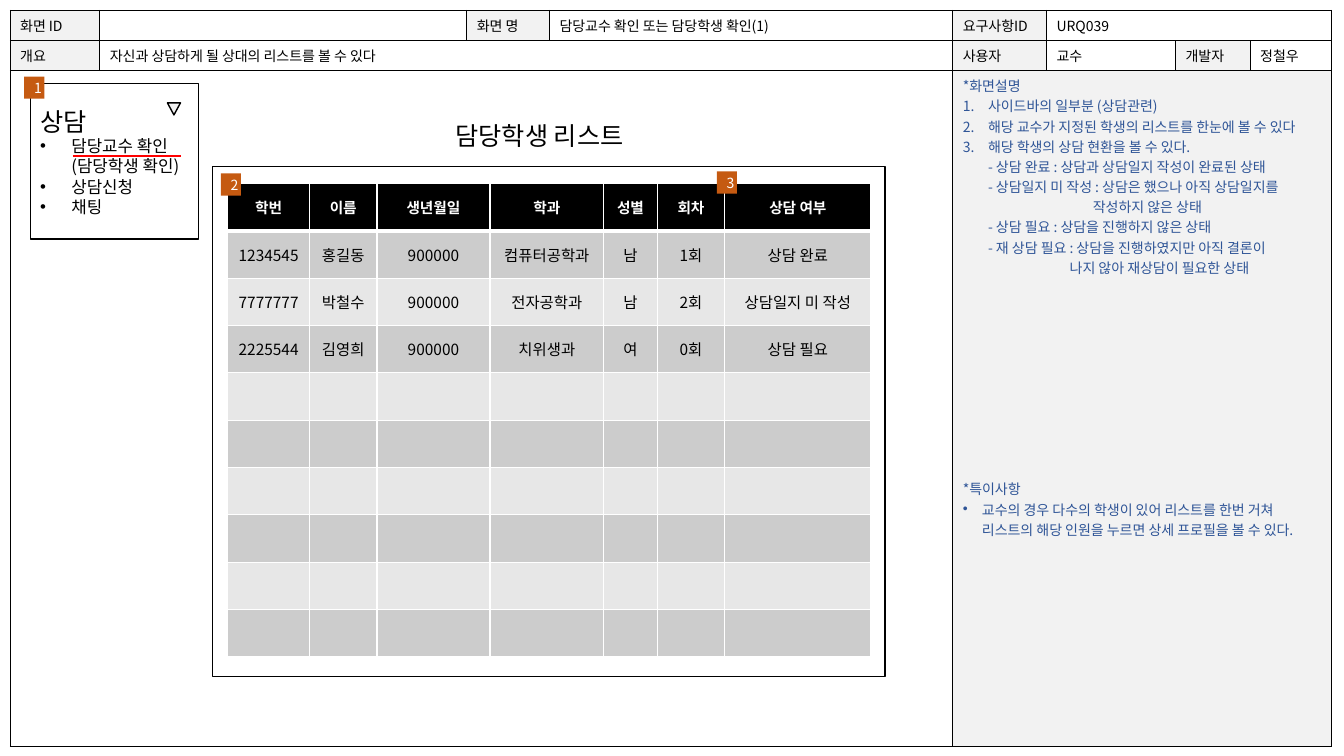
"""Build the screen specification slide for the advisor and student list."""
from lxml.etree import SubElement
from pptx import Presentation
from pptx.dml.color import RGBColor as Color
from pptx.enum.shapes import MSO_CONNECTOR as Connector, MSO_SHAPE as Preset
from pptx.enum.text import MSO_ANCHOR as Anchor, MSO_AUTO_SIZE as AutoSize, PP_ALIGN as Align
from pptx.oxml.ns import qn
from pptx.util import Emu, Inches, Pt

THEME = dict(
    font="Noto Sans CJK KR", black="000000", white="FFFFFF", label="F2F2F2",
    note="2F5597", badge="C55A11", accent="FF0000", bands=("E7E7E7", "CCCCCC"),
    small=10, header=10.5, body=11, menu=12, title=18)

FORM_AT = (0.1, 0.1)
FORM_COLUMNS = (0.89, 3.64, 0.82, 4, 0.93, 1.28, 0.74, 0.81)
FORM_ROWS = (0.28, 0.29, 6.7)
FORM_LABELS = {(0, 0): "화면 ID", (0, 2): "화면 명", (0, 4): "요구사항ID",
               (1, 0): "개요", (1, 4): "사용자", (1, 6): "개발자"}
FORM_VALUES = {(0, 3): "담당교수 확인 또는 담당학생 확인(1)", (0, 5): "URQ039",
               (1, 1): "자신과 상담하게 될 상대의 리스트를 볼 수 있다",
               (1, 5): "교수", (1, 7): "정철우"}
FORM_MERGES = ((0, 5, 7), (1, 1, 3), (2, 0, 3), (2, 4, 7))

NUMBERED = dict(left=0.25, hanging=0.25, bullet="number")
DASHED = dict(left=0.25)
NOTES = (
    ("*화면설명", {}),
    ("사이드바의 일부분 (상담관련)", NUMBERED),
    ("해당 교수가 지정된 학생의 리스트를 한눈에 볼 수 있다", NUMBERED),
    ("해당 학생의 상담 현환을 볼 수 있다.", NUMBERED),
    ("- 상담 완료 : 상담과 상담일지 작성이 완료된 상태", DASHED),
    ("- 상담일지 미 작성 : 상담은 했으나 아직 상담일지를", DASHED),
    ("작성하지 않은 상태", dict(left=1.29)),
    ("- 상담 필요 : 상담을 진행하지 않은 상태", DASHED),
    ("- 재 상담 필요 : 상담을 진행하였지만 아직 결론이", DASHED),
    ("나지 않아 재상담이 필요한 상태", dict(left=1.06)),
    ("*특이사항", dict(before=144)),
    ("교수의 경우 다수의 학생이 있어 리스트를 한번 거쳐 리스트의 해당 인원을 누르면 "
     "상세 프로필을 볼 수 있다.", dict(left=0.19, hanging=0.19, bullet="•")))

MENU_ITEM = dict(left=0.31, hanging=0.31, bullet="•", size=THEME["menu"])
MENU = (
    ("상담", dict(size=THEME["title"])),
    ("담당교수 확인", MENU_ITEM),
    ("(담당학생 확인)", dict(left=0.31, size=THEME["menu"])),
    ("상담신청", MENU_ITEM),
    ("채팅", MENU_ITEM))

LIST_TITLE = "담당학생 리스트"
LIST_AT = (2.26, 1.82)
LIST_COLUMNS = (0.81, 0.67, 1.12, 1.13, 0.53, 0.67, 1.45)
LIST_ROWS = (0.47,) * 10
STUDENTS = (
    ("학번", "이름", "생년월일", "학과", "성별", "회차", "상담 여부"),
    ("1234545", "홍길동", "900000", "컴퓨터공학과", "남", "1회", "상담 완료"),
    ("7777777", "박철수", "900000", "전자공학과", "남", "2회", "상담일지 미 작성"),
    ("2225544", "김영희", "900000", "치위생과", "여", "0회", "상담 필요"))
LIST_BADGES = (("2", 2.19, 1.72), ("3", 7.11, 1.7))


def write(frame, lines, color="black", size=THEME["small"], bold=False, align=Align.LEFT):
    """Fill a text frame with (text, format) lines."""
    for index, (text, style) in enumerate(lines):
        paragraph = frame.add_paragraph() if index else frame.paragraphs[0]
        paragraph.alignment = align
        paragraph.space_before = Pt(style.get("before", 0))
        properties = paragraph._p.get_or_add_pPr()
        properties.set("marL", str(Inches(style.get("left", 0))))
        properties.set("indent", str(-Inches(style.get("hanging", 0))))
        points = Pt(style.get("size", size))
        bullet = style.get("bullet")
        if bullet == "number":
            SubElement(properties, qn("a:buAutoNum"), type="arabicPeriod")
        elif bullet:
            SubElement(properties, qn("a:buFont"), typeface="Arial")
            SubElement(properties, qn("a:buChar"), char=bullet)
        if not text:
            SubElement(paragraph._p, qn("a:endParaRPr"), sz=str(points.centipoints))
            continue
        run = paragraph.add_run()
        run.text = text
        for name, value in dict(size=points, bold=bold, name=THEME["font"]).items():
            setattr(run.font, name, value)
        run.font.color.rgb = Color.from_string(THEME[color])
        SubElement(run.font._element, qn("a:ea"), typeface=THEME["font"])


def paint(cell, fill, border, width, bottom=None):
    """Give a table cell its fill and its four borders."""
    cell.fill.solid()
    cell.fill.fore_color.rgb = Color.from_string(fill)
    properties = cell._tc.get_or_add_tcPr()
    for index, side in enumerate("LRTB"):
        points = bottom if side == "B" and bottom else width
        edge = SubElement(properties, qn(f"a:ln{side}"), w=str(Pt(points)))
        solid = SubElement(edge, qn("a:solidFill"))
        SubElement(solid, qn("a:srgbClr"), val=border)
        properties.insert(index, edge)


def add_grid(shapes, at, columns, rows):
    """Add a table with the given column widths and row heights."""
    size = (sum(rows), sum(columns))
    table = shapes.add_table(len(rows), len(columns), *map(Inches, at),
                             Inches(size[1]), Inches(size[0])).table
    for column, width in zip(table.columns, columns):
        column.width = Inches(width)
    for row, height in zip(table.rows, rows):
        row.height = Inches(height)
    return table


def add_box(shapes, box, fill, line=None, preset=Preset.RECTANGLE):
    """Add a flat preset shape."""
    shape = shapes.add_shape(preset, *map(Inches, box))
    shape.shadow.inherit = False
    shape.fill.solid()
    shape.fill.fore_color.rgb = Color.from_string(THEME[fill])
    if line:
        shape.line.color.rgb = Color.from_string(THEME["black"])
        shape.line.width = Pt(line)
    else:
        shape.line.fill.background()
    shape.text_frame.word_wrap = True
    shape.text_frame.vertical_anchor = Anchor.MIDDLE
    return shape


def add_badge(shapes, number, left, top):
    """Add a numbered marker."""
    badge = add_box(shapes, (left, top, 0.2, 0.22), "badge")
    write(badge.text_frame, [(number, {})], "white", align=Align.CENTER)


def add_form(shapes):
    """Add the specification form with its notes panel."""
    table = add_grid(shapes, FORM_AT, FORM_COLUMNS, FORM_ROWS)
    texts = FORM_LABELS | FORM_VALUES
    for row in range(len(FORM_ROWS)):
        for column in range(len(FORM_COLUMNS)):
            cell = table.cell(row, column)
            panel = row == 2 and column >= 4
            fill = "label" if panel or (row, column) in FORM_LABELS else "white"
            paint(cell, THEME[fill], THEME["black"], 0.5)
            if (row, column) == (2, 4):
                write(cell.text_frame, NOTES, "note")
            else:
                write(cell.text_frame, [(texts.get((row, column), ""), {})])
    for row, first, last in FORM_MERGES:
        table.cell(row, first).merge(table.cell(row, last))


def add_sidebar(shapes):
    """Add the grouped sidebar menu."""
    group = shapes.add_group_shape().shapes
    menu = add_box(group, (0.3, 0.83, 1.67, 1.54), "white", 1)
    menu.text_frame.margin_right = Emu(0)
    write(menu.text_frame, MENU)
    underline = group.add_connector(Connector.STRAIGHT, *map(Inches, (0.72, 1.55, 1.8, 1.55)))
    underline.line.color.rgb = Color.from_string(THEME["accent"])
    underline.line.width = Pt(1.5)
    SubElement(underline.element.spPr, qn("a:effectLst"))
    add_badge(group, "1", 0.24, 0.76)
    arrow = add_box(group, (1.66, 1.02, 0.13, 0.12), "label", 1, Preset.ISOSCELES_TRIANGLE)
    arrow.rotation = 180


def add_student_list(shapes):
    """Add the framed student table with its title and markers."""
    add_box(shapes, (2.11, 1.65, 6.67, 5.06), "white", 1)
    title = shapes.add_textbox(*map(Inches, (4.42, 1.14, 2.06, 0.4))).text_frame
    title.word_wrap = False
    title.auto_size = AutoSize.SHAPE_TO_FIT_TEXT
    write(title, [(LIST_TITLE, {})], size=THEME["title"])
    table = add_grid(shapes, LIST_AT, LIST_COLUMNS, LIST_ROWS)
    for row in range(len(LIST_ROWS)):
        values = STUDENTS[row] if row < len(STUDENTS) else ("",) * len(LIST_COLUMNS)
        head = row == 0
        fill = THEME["black"] if head else THEME["bands"][row % 2]
        for column, text in enumerate(values):
            cell = table.cell(row, column)
            cell.vertical_anchor = Anchor.MIDDLE
            paint(cell, fill, THEME["white"], 1, 3 if head else None)
            write(cell.text_frame, [(text, {})], "white" if head else "black",
                  THEME["header" if head else "body"], head, Align.CENTER)
    for badge in LIST_BADGES:
        add_badge(shapes, *badge)


presentation = Presentation()
presentation.slide_width, presentation.slide_height = Inches(13.33), Inches(7.5)
slide = presentation.slides.add_slide(presentation.slide_layouts[6])
for add_part in (add_form, add_sidebar, add_student_list):
    add_part(slide.shapes)
presentation.save("out.pptx")
